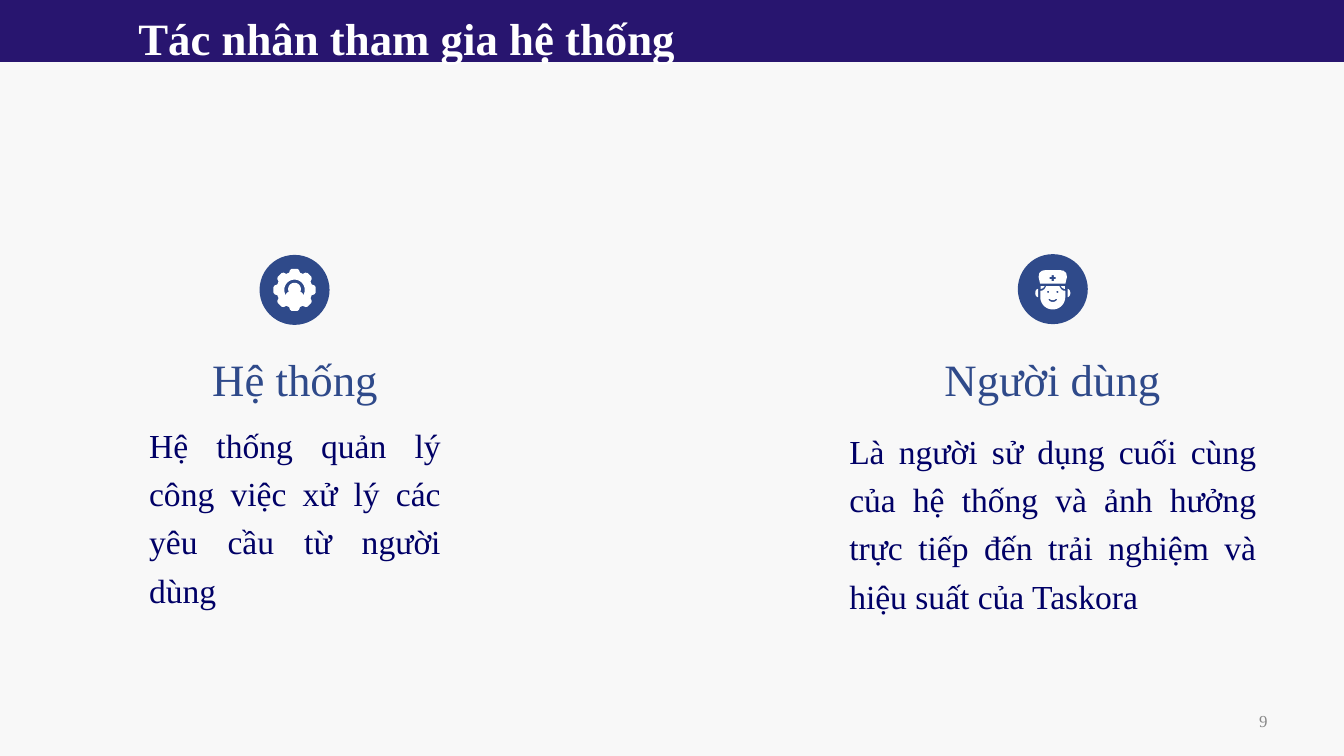
"""Build the slide on the actors that take part in the system."""
import math

import pptx
import pptx.dml.color
import pptx.enum.shapes
import pptx.enum.text
import pptx.util

Pt = pptx.util.Pt
Align = pptx.enum.text.PP_ALIGN
Anchor = pptx.enum.text.MSO_ANCHOR
Fit = pptx.enum.text.MSO_AUTO_SIZE
Kind = pptx.enum.shapes.MSO_SHAPE

FONT = "Times New Roman"
HEX = {"page": "F8F8F8", "bar": "28156F", "blue": "2F4A8A",
       "navy": "000066", "grey": "888888", "white": "FFFFFF"}
WIDE, HIGH = 720, 405
DISC = 37.5
TITLE = "Tác nhân tham gia hệ thống"
PAGE = "9"
ACTORS = [
    {"icon": "gear", "mid": (157.8, 155.3), "name": "Hệ thống",
     "head": (90.7, 183.6, 134.6, 37.4), "body": (74.9, 218.2, 166.3, 121.7),
     "text": "Hệ thống quản lý công việc xử lý các yêu cầu từ người dùng"},
    {"icon": "face", "mid": (564, 154.9), "name": "Người dùng",
     "head": (466.6, 183.6, 194.4, 37.4), "body": (450, 221.4, 228.2, 121.7),
     "text": "Là người sử dụng cuối cùng của hệ thống và ảnh hưởng trực tiếp "
             "đến trải nghiệm và hiệu suất của Taskora"},
]


def color(name):
    return pptx.dml.color.RGBColor.from_string(HEX[name])


def paint(shape, fill, line=0):
    shape.shadow.inherit = False
    shape.fill.solid()
    shape.fill.fore_color.rgb = color(fill)
    if line:
        shape.line.color.rgb = color(fill)
        shape.line.width = Pt(line)
    else:
        shape.line.fill.background()


def place(shape, box):
    shape.left, shape.top, shape.width, shape.height = map(Pt, box)


def write(text, box, shape=None, size=18, ink="navy", align=Align.LEFT,
          bold=False, pad=5, space=None, anchor=Anchor.TOP, fit=Fit.NONE):
    shape = shape or slide.shapes.add_textbox(0, 0, 0, 0)
    place(shape, box)
    frame = shape.text_frame
    frame.word_wrap, frame.auto_size = True, fit
    frame.vertical_anchor = anchor
    frame.margin_left = frame.margin_right = Pt(5)
    frame.margin_top = frame.margin_bottom = Pt(pad)
    para = frame.paragraphs[0]
    para.alignment = align
    if space:
        para.line_spacing = space
    run = para.add_run()
    run.text = text
    run.font.name, run.font.size, run.font.bold = FONT, Pt(size), bold
    run.font.color.rgb = color(ink)


def arc(x, y, wide, high=None, start=0, end=360, steps=32):
    turns = [math.radians(start + (end - start) * i / steps)
             for i in range(steps + 1)]
    return [(x + wide * math.cos(t), y + (high or wide) * math.sin(t))
            for t in turns]


def flip(loop):
    return [(-x, y) for x, y in reversed(loop)]


def draw(loops, mid, line=0):
    spots = [[((mid[0] + x) * 100, (mid[1] + y) * 100) for x, y in loop]
             for loop in loops]
    pen = slide.shapes.build_freeform(*spots[0][0], scale=Pt(1) / 100)
    for i, loop in enumerate(spots):
        if i:
            pen.move_to(*loop[0])
        pen.add_line_segments(loop[1:], close=True)
    paint(pen.convert_to_shape(), "white", line)


def gear(mid):
    teeth = [(r * math.cos(math.radians(45 * k + a)),
              r * math.sin(math.radians(45 * k + a)))
             for k in range(8)
             for a, r in [(-14, 8.7), (-8, 10.4), (8, 10.4), (14, 8.7)]]
    half = [(-2.8, 1.8), (-3.6, 2.6), (-3.9, 3.6), (-2.4, 4.7)]
    chest = half + [(0, 5.1)] + flip(half) + [(1.6, 2.6), (0, 3), (-1.6, 2.6)]
    for loops in ([arc(0, -0.4, 2.4)], [teeth, arc(0, 0, 6.5)], [chest]):
        draw(loops, mid, 2)


def face(mid):
    side = [(-6.8, -2.9), (-7.6, -6.5), (-7.2, -8.6), (-5.8, -9.8),
            (-4.3, -10.1)]
    arm, thin, y = 1.6, 0.6, -5.9
    cross = [(-thin, y - arm), (thin, y - arm), (thin, y - thin),
             (arm, y - thin), (arm, y + thin), (thin, y + thin),
             (thin, y + arm), (-thin, y + arm), (-thin, y + thin),
             (-arm, y + thin), (-arm, y - thin), (-thin, y - thin)]
    hair = [(-6.5, -1.6), (-4.3, -1.6), (-5.2, -0.5), (-6.5, 0)]
    brow = [(-6.7, 0.9), (-5.6, 0.8), (-4.5, 0.1), (-3.5, -1.6)]
    skin = arc(0, 4.2, 6.7, start=0, end=180) + brow + flip(brow)
    eyes = [arc(x, 1.5, 0.55, steps=12) for x in (-2.5, 2.5)]
    smile = (arc(0, 5, 2.4, 1.9, 10, 170, 12)
             + arc(0, 5, 1.6, 0.9, 170, 10, 12))
    ear = arc(-7.9, 2.1, 1.5, 2.2, 90, 270, 12)
    for loops in ([side + flip(side), cross], [hair], [flip(hair)],
                  [skin, *eyes, smile], [ear], [flip(ear)]):
        draw(loops, mid)


deck = pptx.Presentation()
deck.slide_width, deck.slide_height = Pt(WIDE), Pt(HIGH)
slide = deck.slides.add_slide(deck.slide_layouts[5])
slide.background.fill.solid()
slide.background.fill.fore_color.rgb = color("page")

title = slide.shapes.title
bar = slide.shapes.add_shape(Kind.RECTANGLE, 0, Pt(-3.6), Pt(WIDE), Pt(36.8))
paint(bar, "bar")
title.element.addprevious(bar.element)
write(TITLE, (69.1, 2.9, 444.2, 34.6), shape=title, size=24, ink="white",
      bold=True, pad=2.9, fit=Fit.SHAPE_TO_FIT_TEXT)
write(PAGE, (516.2, 375.1, 167.8, 21.6), size=9, ink="grey",
      align=Align.RIGHT, pad=2.9, anchor=Anchor.MIDDLE)

icons = {"gear": gear, "face": face}
for actor in ACTORS:
    x, y = actor["mid"]
    disc = slide.shapes.add_shape(Kind.OVAL, Pt(x - DISC / 2),
                                  Pt(y - DISC / 2), Pt(DISC), Pt(DISC))
    paint(disc, "blue")
    icons[actor["icon"]](actor["mid"])
    write(actor["name"], actor["head"], size=24, ink="blue",
          align=Align.CENTER)
    write(actor["text"], actor["body"], align=Align.JUSTIFY, space=1.2)

deck.save("out.pptx")
